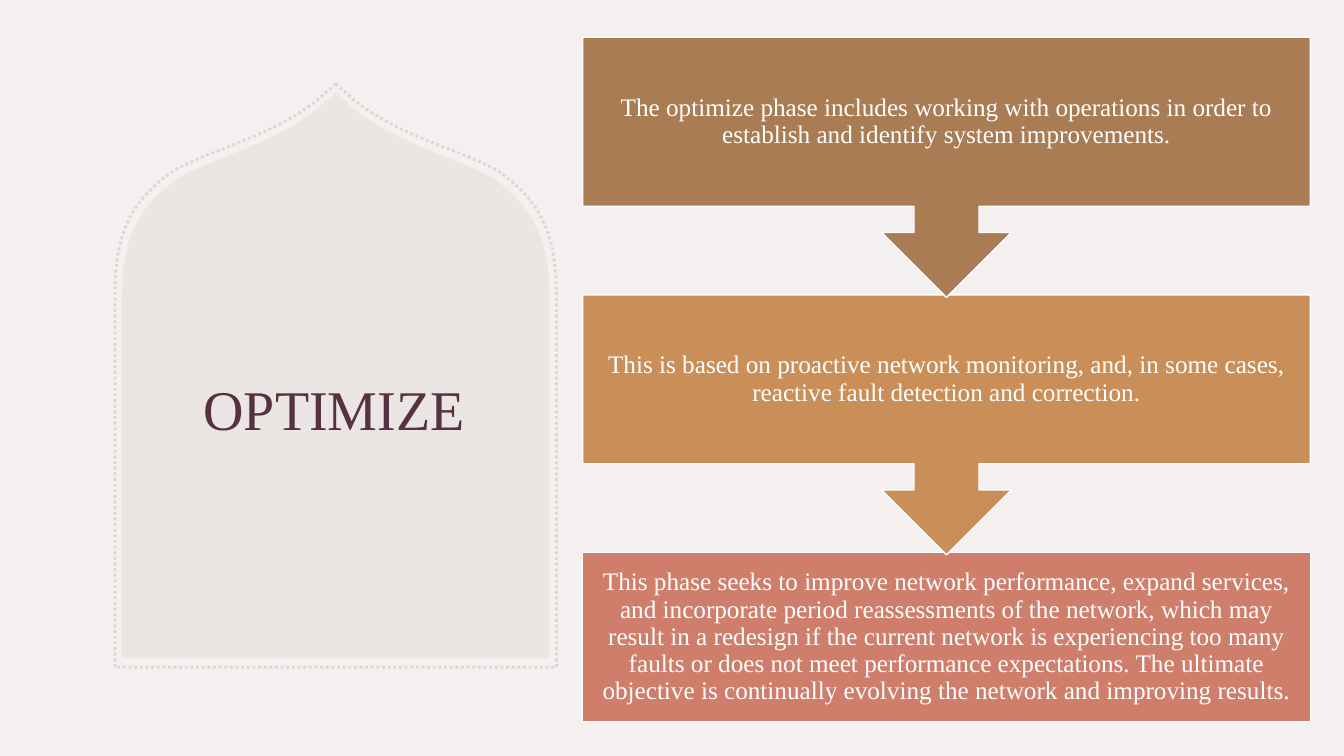
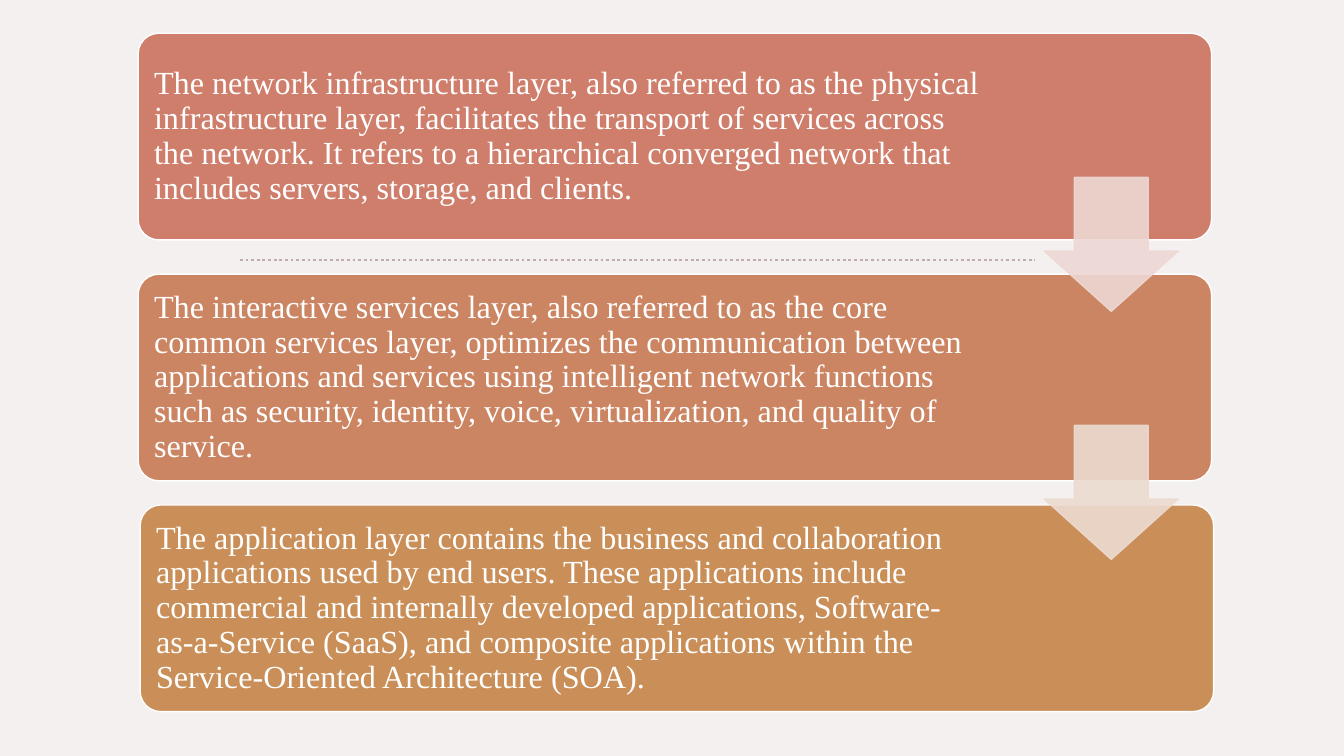
from lxml.etree import SubElement
from pptx import Presentation
from pptx.dml.color import RGBColor
from pptx.enum.dml import MSO_LINE
from pptx.enum.shapes import MSO_CONNECTOR, MSO_SHAPE
from pptx.enum.text import MSO_ANCHOR, PP_ALIGN
from pptx.oxml.ns import qn
from pptx.util import Inches, Pt

FONT = "Times New Roman"
COLORS = {
    "background": "F3F0EF", "title": "431C30", "white": "FFFFFF",
    "taupe": "BFAFAA", "arch_outline": "DED6D3",
    "brown": "A97C54", "tan": "CA8F58", "rose": "CF7E6C", "copper": "CC8562",
    "pale_rose": "EDD8D4", "pale_copper": "ECDBD1",
}

TITLE = "OPTIMIZE"
TITLE_BOX = (161, 252, 341, 315)
ARCH_CENTER = 333
ARCH_FILL = {"tip": (0, 92), "neck": (18, 108), "bottom": 653,
             "curves": [((64, 144), (116, 154), (156, 177)),
                        ((194, 203), (212, 234), (212, 295))]}
ARCH_OUTLINE = {"tip": (0, 83), "neck": (19, 100), "bottom": 662,
                "curves": [((67, 137), (121, 147), (162, 170)),
                           ((201, 198), (219, 229), (219, 292))]}

STEPS = [
    ("brown", "The optimize phase includes working with operations in order to "
     "establish and identify system improvements."),
    ("tan", "This is based on proactive network monitoring, and, in some cases, "
     "reactive fault detection and correction."),
    ("rose", "This phase seeks to improve network performance, expand services, and "
     "incorporate period reassessments of the network, which may result in a redesign "
     "if the current network is experiencing too many faults or does not meet "
     "performance expectations. The ultimate objective is continually evolving the "
     "network and improving results."),
]
STEP_LEFT, STEP_TOP, STEP_WIDTH, STEP_PITCH = 578, 37, 722, 255.5
STEP_HEIGHT, CALLOUT_HEIGHT = 168, 258

LAYERS = [
    ("rose", 137, 33, 219, "The network infrastructure layer, also referred to as the "
     "physical infrastructure layer, facilitates the transport of services across the "
     "network. It refers to a hierarchical converged network that includes servers, "
     "storage, and clients."),
    ("copper", 137, 272, 237, "The interactive services layer, also referred to as the "
     "core common services layer, optimizes the communication between applications and "
     "services using intelligent network functions such as security, identity, voice, "
     "virtualization, and quality of service."),
    ("tan", 139, 501, 237, "The application layer contains the business and "
     "collaboration applications used by end users. These applications include "
     "commercial and internally developed applications, Software-as-a-Service (SaaS), "
     "and composite applications within the Service-Oriented Architecture (SOA)."),
]
LAYER_WIDTH, LAYER_HEIGHT = 1065, 205
ARROWS = [("pale_rose", 176), ("pale_copper", 422)]
ARROW_LEFT, ARROW_SIZE = 1036, 133
DIVIDER = (238, 258, 1027, 258)


def px(value):
    return round(value * 9144)


def color(name):
    return RGBColor.from_string(COLORS[name])


def paint(shape, fill=None, line=None, width=1, alpha=None):
    shape.shadow.inherit = False
    if fill:
        shape.fill.solid()
        shape.fill.fore_color.rgb = color(fill)
    else:
        shape.fill.background()
    if line:
        shape.line.color.rgb = color(line)
        shape.line.width = Pt(width)
    else:
        shape.line.fill.background()
    if alpha:
        for tint in shape._element.spPr.iter(qn("a:srgbClr")):
            SubElement(tint, qn("a:alpha")).set("val", str(alpha * 1000))


def add_block(slide, kind, box, **look):
    block = slide.shapes.add_shape(kind, *map(px, box))
    paint(block, **look)
    return block


def write(shape, text, size, tint, align, insets=None):
    frame = shape.text_frame
    frame.word_wrap = True
    frame.vertical_anchor = MSO_ANCHOR.MIDDLE
    if insets:
        (frame.margin_left, frame.margin_top,
         frame.margin_right, frame.margin_bottom) = map(px, insets)
    paragraph = frame.paragraphs[0]
    paragraph.alignment = align
    paragraph.line_spacing = 0.9
    run = paragraph.add_run()
    run.text = text
    run.font.name = FONT
    run.font.size = Pt(size)
    run.font.color.rgb = color(tint)


def bezier(start, first, second, end, steps=16):
    for i in range(1, steps + 1):
        t = i / steps
        weights = ((1 - t) ** 3, 3 * t * (1 - t) ** 2, 3 * t * t * (1 - t), t ** 3)
        yield tuple(sum(w * p[axis] for w, p in zip(weights, (start, first, second, end)))
                    for axis in (0, 1))


def add_arch(slide, arch, **look):
    half = [arch["tip"], arch["neck"]]
    for curve in arch["curves"]:
        half.extend(bezier(half[-1], *curve))
    half.append((half[-1][0], arch["bottom"]))
    outline = half + [(-x, y) for x, y in reversed(half[1:])]
    points = [(px(ARCH_CENTER + x), px(y)) for x, y in outline]
    builder = slide.shapes.build_freeform(*points[0])
    builder.add_line_segments(points[1:], close=True)
    shape = builder.convert_to_shape()
    paint(shape, **look)
    return shape


def build_optimize(prs):
    slide = prs.slides.add_slide(prs.slide_layouts[5])
    add_arch(slide, ARCH_FILL, fill="taupe", alpha=15)
    outline = add_arch(slide, ARCH_OUTLINE, line="arch_outline", width=2)
    outline.line.dash_style = MSO_LINE.ROUND_DOT

    title = slide.shapes.title
    title.left, title.top, title.width, title.height = map(px, TITLE_BOX)
    write(title, TITLE, 40, "title", PP_ALIGN.CENTER)

    for i, (fill, text) in reversed(list(enumerate(STEPS))):
        last = i == len(STEPS) - 1
        kind = MSO_SHAPE.RECTANGLE if last else MSO_SHAPE.DOWN_ARROW_CALLOUT
        height = STEP_HEIGHT if last else CALLOUT_HEIGHT
        box = (STEP_LEFT, STEP_TOP + i * STEP_PITCH, STEP_WIDTH, height)
        step = add_block(slide, kind, box, fill=fill, line="white")
        write(step, text, 18, "white", PP_ALIGN.CENTER, (14, 14, 14, 14))


def build_layers(prs):
    slide = prs.slides.add_slide(prs.slide_layouts[6])
    divider = slide.shapes.add_connector(MSO_CONNECTOR.STRAIGHT, *map(px, DIVIDER))
    divider.line.color.rgb = color("taupe")
    divider.line.width = Pt(2)
    divider.line.dash_style = MSO_LINE.ROUND_DOT
    SubElement(divider._element.spPr, qn("a:effectLst"))

    for fill, left, top, right_inset, text in LAYERS:
        layer = add_block(slide, MSO_SHAPE.ROUNDED_RECTANGLE,
                          (left, top, LAYER_WIDTH, LAYER_HEIGHT), fill=fill, line="white")
        layer.adjustments[0] = 0.1
        write(layer, text, 23, "white", PP_ALIGN.LEFT, (10, 10, right_inset, 10))

    for tint, top in ARROWS:
        arrow = add_block(slide, MSO_SHAPE.DOWN_ARROW,
                          (ARROW_LEFT, top, ARROW_SIZE, ARROW_SIZE),
                          fill=tint, line=tint, alpha=90)
        arrow.adjustments[0] = 0.55
        arrow.adjustments[1] = 0.45


def main():
    prs = Presentation()
    prs.slide_width, prs.slide_height = Inches(13.3333), Inches(7.5)
    backdrop = prs.slide_master.background.fill
    backdrop.solid()
    backdrop.fore_color.rgb = color("background")
    build_optimize(prs)
    build_layers(prs)
    prs.save("out.pptx")


if __name__ == "__main__":
    main()
